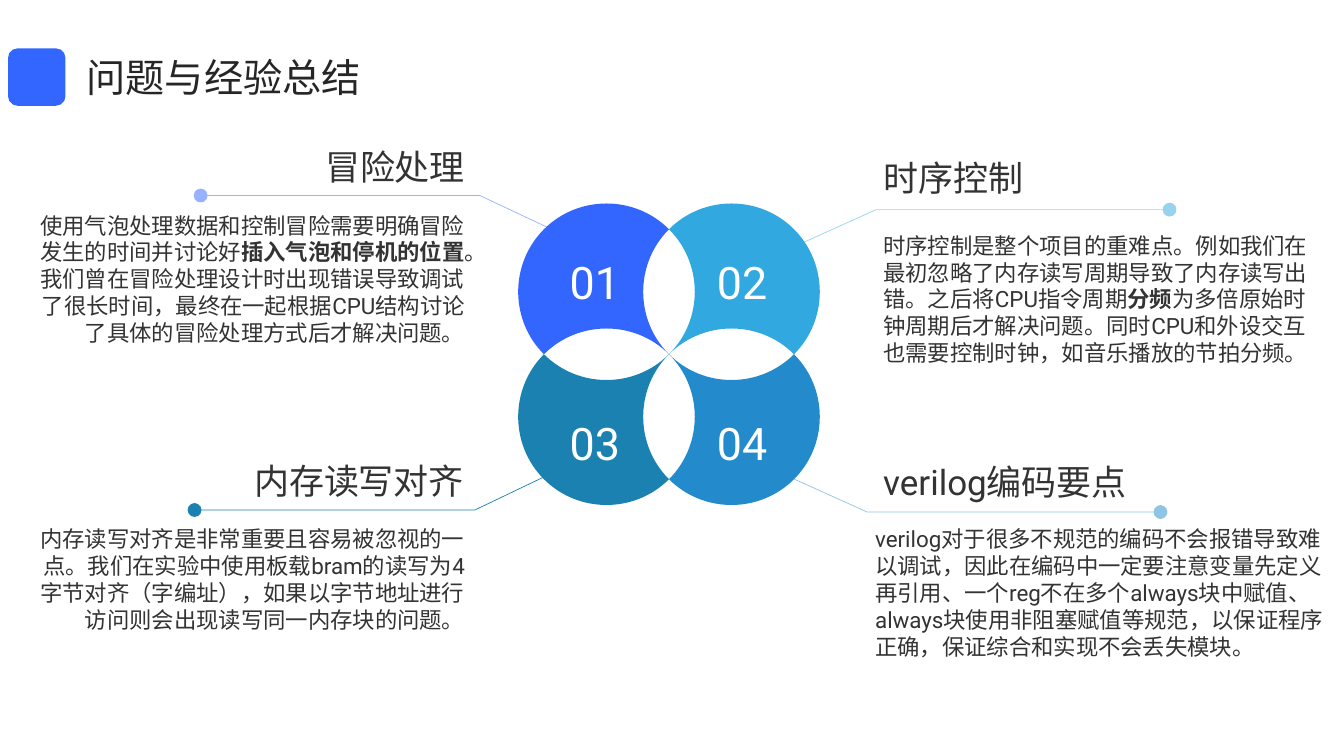
"""Build the slide on problems met and lessons learned, with four petals around a hub."""
from math import sqrt

from lxml.etree import SubElement
from pptx import Presentation
from pptx.dml.color import RGBColor
from pptx.enum.lang import MSO_LANGUAGE_ID
from pptx.enum.shapes import MSO_SHAPE
from pptx.enum.text import MSO_ANCHOR, PP_ALIGN
from pptx.oxml.ns import qn
from pptx.util import Inches, Pt

BLUE = RGBColor(0x33, 0x66, 0xFF)
SKY = RGBColor(0x31, 0xA8, 0xDF)
TEAL = RGBColor(0x1B, 0x81, 0xB1)
AZURE = RGBColor(0x23, 0x8A, 0xCB)
WHITE = RGBColor(0xFF, 0xFF, 0xFF)
INK = RGBColor(0x33, 0x33, 0x33)
TITLE_INK = RGBColor(0x26, 0x26, 0x26)
LATIN, CJK = "Roboto", "Noto Sans CJK SC"

TITLE = "问题与经验总结"
TOPICS = [
    {"number": "01", "color": BLUE, "side": (-1, -1), "opacity": 50,
     "leader": [(5.46, 2.27), (4.76, 1.94), (1.99, 1.94)],
     "heading": "冒险处理", "heading_box": (1.69, 1.48, 2.92, 0.35),
     "body_box": (0.34, 2.1, 4.27, 1.62),
     "body": [("使用气泡处理数据和控制冒险需要明确冒险发生的时间并讨论好", False),
              ("插入气泡和停机的位置", True),
              ("。我们曾在冒险处理设计时出现错误导致调试了很长时间，最终在一起根据CPU结构"
               "讨论了具体的冒险处理方式后才解决问题。", False)]},
    {"number": "02", "color": SKY, "side": (1, -1), "opacity": 50,
     "leader": [(7.96, 2.41), (8.69, 2.08), (11.6, 2.08)],
     "heading": "时序控制", "heading_box": (8.76, 1.59, 2.68, 0.35),
     "body_box": (8.76, 2.3, 4.29, 1.22),
     "body": [("时序控制是整个项目的重难点。例如我们在最初忽略了内存读写周期导致了内存读写"
               "出错。之后将CPU指令周期", False),
              ("分频", True),
              ("为多倍原始时钟周期后才解决问题。同时CPU和外设交互也需要控制时钟，"
               "如音乐播放的节拍分频。", False)]},
    {"number": "03", "color": TEAL, "side": (-1, 1), "opacity": 100,
     "leader": [(5.4, 4.73), (4.71, 5.06), (1.93, 5.06)],
     "heading": "内存读写对齐", "heading_box": (1.88, 4.59, 2.72, 0.35),
     "body_box": (0.3, 5.21, 4.31, 1.22),
     "body": [("内存读写对齐是非常重要且容易被忽视的一点。我们在实验中使用板载bram的读写为"
               "4字节对齐（字编址），如果以字节地址进行访问则会出现读写同一内存块的问题。", False)]},
    {"number": "04", "color": AZURE, "side": (1, 1), "opacity": 50,
     "leader": [(7.87, 4.75), (8.6, 5.08), (11.51, 5.08)],
     "heading": "verilog编码要点", "heading_box": (8.76, 4.6, 2.68, 0.35),
     "body_box": (8.68, 5.21, 4.46, 1.98),
     "body": [("verilog对于很多不规范的编码不会报错导致难以调试，因此在编码中一定要注意变量先"
               "定义再引用、一个reg不在多个always块中赋值、always块使用非阻塞赋值等规范，"
               "以保证程序正确，保证综合和实现不会丢失模块。", False)]},
]
HUB_X, HUB_Y = 6.635, 3.515
HALF = 0.62
KAPPA = 0.55
PETAL_CURVE = [(1, 0), (1 - KAPPA, 0), (0, 1 - KAPPA), (0, 1),
               (-KAPPA, 1), (-1, KAPPA), (-1, 0),
               (-1, -KAPPA), (-KAPPA, -1), (0, -1),
               (0, KAPPA - 1), (1 - KAPPA, 0), (1, 0)]


def add_text(slide, box, runs, size, color, align=PP_ALIGN.LEFT,
             anchor=MSO_ANCHOR.TOP, font=LATIN, insets=(0, 0)):
    """Add a wrapped text box holding one paragraph of (text, bold) runs."""
    frame = slide.shapes.add_textbox(*map(Inches, box)).text_frame
    frame.word_wrap = True
    frame.vertical_anchor = anchor
    frame.margin_left = frame.margin_right = Inches(insets[0])
    frame.margin_top = frame.margin_bottom = Inches(insets[1])
    paragraph = frame.paragraphs[0]
    paragraph.alignment = align
    for text, bold in runs:
        run = paragraph.add_run()
        run.text = text
        run.font.name, run.font.size, run.font.bold = font, Pt(size), bold
        run.font.color.rgb = color
        run.font.language_id = MSO_LANGUAGE_ID.SIMPLIFIED_CHINESE


def add_outline(slide, points, close):
    """Add a freeform through points given in inches."""
    corners = [(Inches(x), Inches(y)) for x, y in points]
    builder = slide.shapes.build_freeform(*corners[0], scale=1.0)
    builder.add_line_segments(corners[1:], close=close)
    outline = builder.convert_to_shape()
    outline.shadow.inherit = False
    return outline


def add_leader(slide, topic):
    """Add the bent line that ends in a dot beside a topic."""
    leader = add_outline(slide, topic["leader"], close=False)
    leader.fill.background()
    leader.line.color.rgb = topic["color"]
    leader.line.width = Pt(0.5)
    line = leader.line._get_or_add_ln()
    if topic["opacity"] < 100:
        SubElement(line.find(".//" + qn("a:srgbClr")), qn("a:alpha"),
                   val=str(topic["opacity"] * 1000))
    SubElement(line, qn("a:tailEnd"), type="oval", w="lg", len="lg")


def curve_outline(outline):
    """Turn each three line segments of an outline into one cubic curve."""
    path_element = next(outline._element.iter(qn("a:path")))
    segments = path_element.findall(qn("a:lnTo"))
    for first in range(0, len(segments) - 2, 3):
        curve = path_element.makeelement(qn("a:cubicBezTo"))
        segments[first].addprevious(curve)
        for segment in segments[first:first + 3]:
            curve.append(segment[0])
            path_element.remove(segment)


def add_petal(slide, topic):
    """Add a disc cut by its two neighbours, turned so that its tip meets the hub."""
    across, down = topic["side"]
    radius = HALF * sqrt(2)
    center_x, center_y = HUB_X + across * HALF, HUB_Y + down * HALF
    tip_x, tip_y = -(across + down) / 2, (across - down) / 2
    points = [(center_x + radius * (u * tip_x - v * tip_y),
               center_y + radius * (u * tip_y + v * tip_x)) for u, v in PETAL_CURVE]
    petal = add_outline(slide, points, close=True)
    curve_outline(petal)
    petal.rotation = 45
    petal.fill.solid()
    petal.fill.fore_color.rgb = topic["color"]
    petal.line.fill.background()


def main():
    """Build and save the slide."""
    deck = Presentation()
    deck.slide_width, deck.slide_height = Inches(13.33), Inches(7.5)
    slide = deck.slides.add_slide(deck.slide_layouts[6])
    for topic in TOPICS:
        add_leader(slide, topic)
    for topic in reversed(TOPICS):
        across, down = topic["side"]
        align = PP_ALIGN.RIGHT if across < 0 else PP_ALIGN.LEFT
        add_text(slide, topic["heading_box"], [(topic["heading"], False)], 25, INK,
                 align, MSO_ANCHOR.MIDDLE)
        add_text(slide, topic["body_box"], topic["body"], 16, INK, align)
    for topic in reversed(TOPICS):
        across, down = topic["side"]
        add_petal(slide, topic)
        number_box = (6.22 + across * 0.73, 3.28 + down * 0.8, 0.82, 0.5)
        add_text(slide, number_box, [(topic["number"], False)], 32, WHITE,
                 PP_ALIGN.CENTER, insets=(0.13, 0.05))
    add_text(slide, (0.86, 0.51, 11.67, 0.51), [(TITLE, False)], 28, TITLE_INK,
             anchor=MSO_ANCHOR.MIDDLE, font=CJK)
    marker = slide.shapes.add_shape(MSO_SHAPE.ROUNDED_RECTANGLE, Inches(0.08), Inches(0.48),
                                    Inches(0.57), Inches(0.57))
    marker.shadow.inherit = False
    marker.fill.solid()
    marker.fill.fore_color.rgb = BLUE
    marker.line.fill.background()
    deck.save("out.pptx")


if __name__ == "__main__":
    main()
